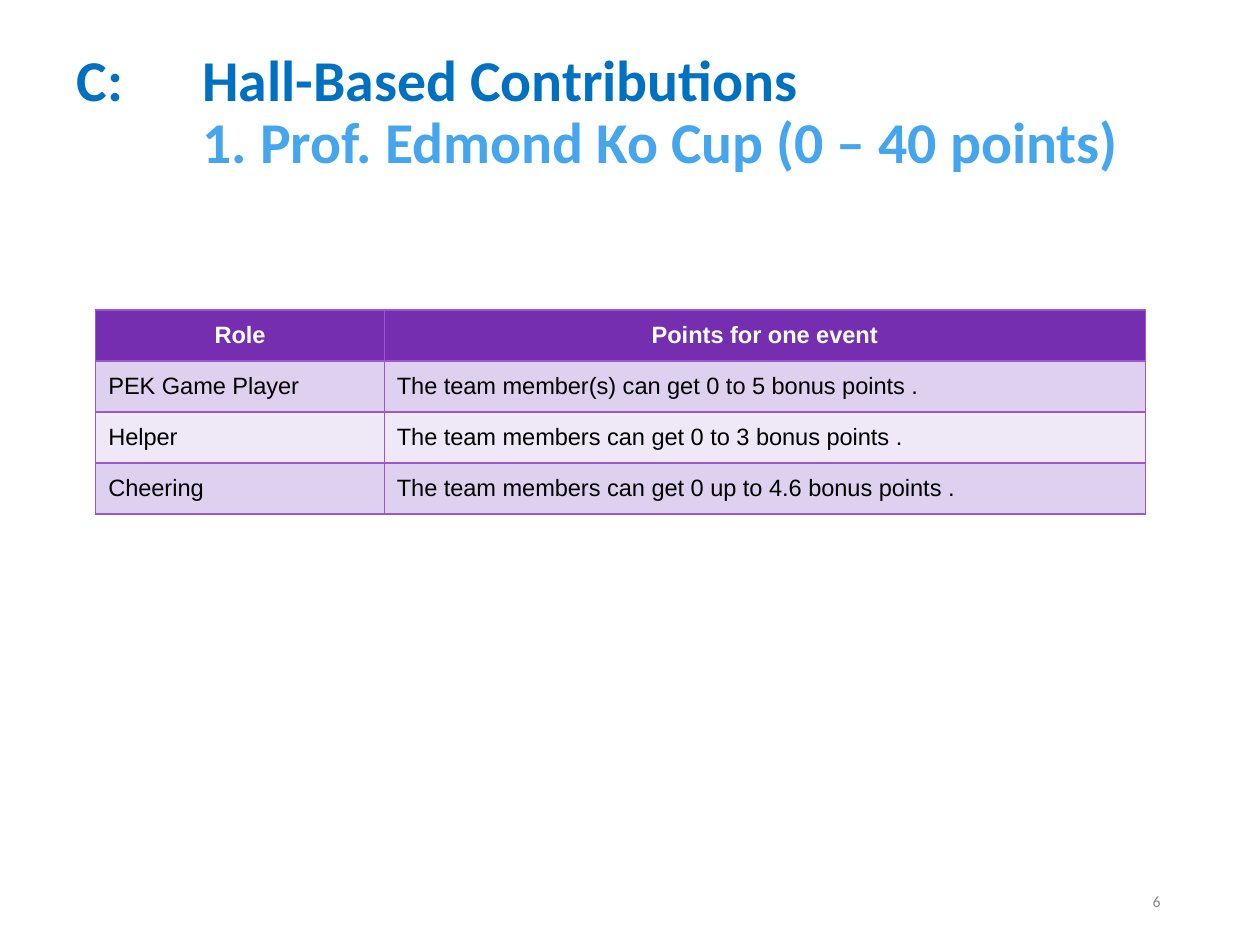
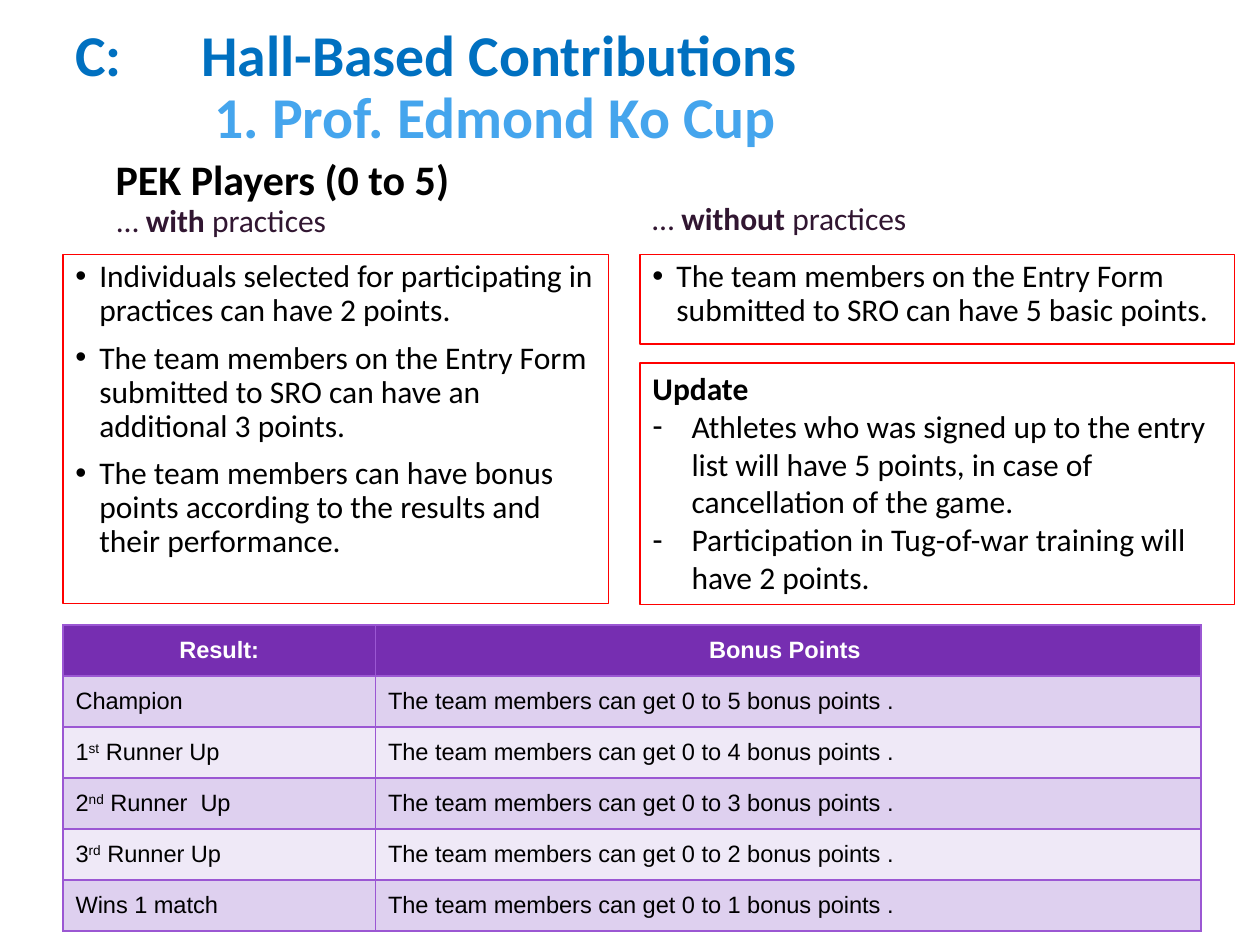
"""Build two slides on hall-based contribution points."""
from lxml.etree import SubElement
from pptx import Presentation
from pptx.dml.color import RGBColor
from pptx.enum.shapes import MSO_SHAPE
from pptx.enum.text import MSO_ANCHOR, PP_ALIGN
from pptx.oxml.ns import qn
from pptx.util import Inches, Pt

BLUE = RGBColor(0x00, 0x70, 0xC0)
SKY = RGBColor(0x45, 0xA5, 0xED)
PLUM = RGBColor(0x31, 0x16, 0x31)
RED = RGBColor(0xFF, 0x00, 0x00)
GREY = RGBColor(0x88, 0x88, 0x88)
BLACK = RGBColor(0x00, 0x00, 0x00)
WHITE = RGBColor(0xFF, 0xFF, 0xFF)
HEADER = RGBColor(0x76, 0x2E, 0xB1)
BANDS = [RGBColor(0xDE, 0xD0, 0xEF), RGBColor(0xEF, 0xE9, 0xF7)]
BORDER = RGBColor(0x9B, 0x57, 0xD3)

TITLE = {"name": "Calibri", "size": Pt(33), "bold": True, "color": BLUE}
HEADING = {"name": "Calibri", "size": Pt(24), "bold": True, "color": BLACK}
CAPTION = {"name": "Calibri", "size": Pt(18), "bold": False, "color": PLUM}
BODY = {**CAPTION, "color": BLACK}
PAGE = {"name": "Calibri", "size": Pt(9), "color": GREY}
CELL = {"name": "Arial", "size": Pt(13.5), "bold": False, "color": BLACK}
CELL_HEADER = {**CELL, "bold": True, "color": WHITE}
BOLD = {"bold": True}
RAISED = {"baseline": 30000}

SECTION = "C: \tHall-Based Contributions"
TIGHT = {"line_spacing": 0.9}
DOT = {"bullet": "•", "indent": 0.19, **TIGHT}
NEXT_DOT = {**DOT, "space_before": Pt(7.5)}
DASH = {"bullet": "-", "indent": 0.31}

ROLES = {
    "at": (0.76, 2.46, 8.33, 1.62),
    "columns": (2.29, 6.04),
    "rows": [
        ("Role", "Points for one event"),
        ("PEK Game Player", "The team member(s) can get 0 to 5 bonus points ."),
        ("Helper", "The team members can get 0 to 3 bonus points ."),
        ("Cheering", "The team members can get 0 up to 4.6 bonus points ."),
    ],
}

PLACINGS = [
    "Champion",
    [("1", {}), ("st", RAISED), (" Runner Up", {})],
    [("2", {}), ("nd", RAISED), (" Runner  Up", {})],
    [("3", {}), ("rd", RAISED), (" Runner Up", {})],
    "Wins 1 match",
]
RESULTS = {
    "at": (0.5, 4.96, 9.03, 2.43),
    "columns": (2.48, 6.55),
    "rows": [("Result:", "Bonus Points ")] + [
        (placing, f"The team members can get 0 to {5 - rank} bonus points .")
        for rank, placing in enumerate(PLACINGS)
    ],
}

CAPTIONS = [
    ((0.83, 1.57, 3.35, 0.38), "with "),
    ((5.08, 1.55, 3.58, 0.38), "without "),
]
RULE_BOXES = [
    ((0.5, 2.02, 4.33, 2.77), [
        ("Individuals selected for participating in practices can have 2 points.", DOT),
        ("The team members on the Entry Form submitted to SRO can have an "
         "additional 3 points.", NEXT_DOT),
        ("The team members can have bonus points according to the results and "
         "their performance.", NEXT_DOT),
    ]),
    ((5.08, 2.02, 4.72, 0.71), [
        ("The team members on the Entry Form submitted to SRO can have 5 basic points.", DOT),
    ]),
    ((5.08, 2.88, 4.72, 1.92), [
        ([("Update", BOLD)], {}),
        ("Athletes who was signed up to the entry list will have 5 points, in case of "
         "cancellation of the game.", DASH),
        ("Participation in Tug-of-war training will have 2 points.", DASH),
    ]),
]


def inches(lengths):
    return [Inches(length) for length in lengths]


def add_run(paragraph, text, style):
    run = paragraph.add_run()
    run.text = text
    for key, value in style.items():
        if key == "color":
            run.font.color.rgb = value
        elif key == "baseline":
            run._r.get_or_add_rPr().set("baseline", str(value))
        else:
            setattr(run.font, key, value)


def format_paragraph(paragraph, layout):
    properties = paragraph._p.get_or_add_pPr()
    for key, value in layout.items():
        if key not in ("bullet", "indent"):
            setattr(paragraph, key, value)
    if "bullet" in layout:
        indent = Inches(layout["indent"])
        properties.set("marL", str(indent))
        properties.set("indent", str(-indent))
        colour = SubElement(properties, qn("a:buClr"))
        SubElement(colour, qn("a:srgbClr"), val=str(BLACK))
        SubElement(properties, qn("a:buFont"), typeface="Arial")
        SubElement(properties, qn("a:buChar"), char=layout["bullet"])


def write(frame, paragraphs, style):
    for index, (content, layout) in enumerate(paragraphs):
        paragraph = frame.add_paragraph() if index else frame.paragraphs[0]
        format_paragraph(paragraph, {"alignment": PP_ALIGN.LEFT, **layout})
        runs = [(content, {})] if isinstance(content, str) else content
        for text, changes in runs:
            add_run(paragraph, text, {**style, **changes})


def add_text(slide, at, paragraphs, style, anchor=MSO_ANCHOR.TOP):
    frame = slide.shapes.add_textbox(*inches(at)).text_frame
    frame.word_wrap = True
    frame.vertical_anchor = anchor
    write(frame, paragraphs, style)
    return frame


def add_title(slide, at, topic):
    frame = add_text(slide, at, [(SECTION, TIGHT)], TITLE, MSO_ANCHOR.MIDDLE)
    paragraph = frame.paragraphs[0]
    tabs = SubElement(paragraph._p.get_or_add_pPr(), qn("a:tabLst"))
    SubElement(tabs, qn("a:tab"), pos=str(Inches(1)), algn="l")
    paragraph.add_line_break()
    add_run(paragraph, "\t" + topic, {**TITLE, "color": SKY})


def add_rule_box(slide, at, paragraphs):
    box = slide.shapes.add_shape(MSO_SHAPE.RECTANGLE, *inches(at))
    box.shadow.inherit = False
    box.fill.background()
    box.line.color.rgb = RED
    box.line.width = Pt(0.75)
    box.text_frame.word_wrap = True
    box.text_frame.vertical_anchor = MSO_ANCHOR.TOP
    write(box.text_frame, paragraphs, BODY)


def add_borders(cell):
    properties = cell._tc.get_or_add_tcPr()
    for side in ("lnL", "lnR", "lnT", "lnB"):
        line = SubElement(properties, qn(f"a:{side}"), w=str(Pt(1)))
        SubElement(SubElement(line, qn("a:solidFill")), qn("a:srgbClr"), val=str(BORDER))


def add_points_table(slide, at, columns, rows):
    table = slide.shapes.add_table(len(rows), len(columns), *inches(at)).table
    for column, width in zip(table.columns, inches(columns)):
        column.width = width
    for row, contents in enumerate(rows):
        style = CELL if row else CELL_HEADER
        layout = {} if row else {"alignment": PP_ALIGN.CENTER}
        for column, content in enumerate(contents):
            cell = table.cell(row, column)
            cell.vertical_anchor = MSO_ANCHOR.MIDDLE
            add_borders(cell)
            cell.fill.solid()
            cell.fill.fore_color.rgb = BANDS[(row - 1) % 2] if row else HEADER
            write(cell.text_frame, [(content, layout)], style)


def build_roles(slide):
    add_title(slide, (0.51, 0.28, 8.54, 1.25), "1. Prof. Edmond Ko Cup (0 – 40 points)")
    add_text(slide, (7.06, 6.95, 2.25, 0.4), [("6", {"alignment": PP_ALIGN.RIGHT})],
             PAGE, MSO_ANCHOR.MIDDLE)
    add_points_table(slide, **ROLES)


def build_players(slide):
    add_title(slide, (0.5, 0.08, 8.33, 1.25), " 1. Prof. Edmond Ko Cup")
    for at, stress in CAPTIONS:
        runs = [("… ", {}), (stress, BOLD), ("practices", {})]
        add_text(slide, at, [(runs, TIGHT)], CAPTION, MSO_ANCHOR.BOTTOM)
    for at, paragraphs in RULE_BOXES:
        add_rule_box(slide, at, paragraphs)
    add_points_table(slide, **RESULTS)
    add_text(slide, (0.82, 1.17, 2.87, 0.5), [("PEK Players (0 to 5)", {})], HEADING)


def main():
    deck = Presentation()
    deck.slide_width, deck.slide_height = inches((10, 7.5))
    for build in (build_roles, build_players):
        build(deck.slides.add_slide(deck.slide_layouts[6]))
    deck.save("out.pptx")


if __name__ == "__main__":
    main()
